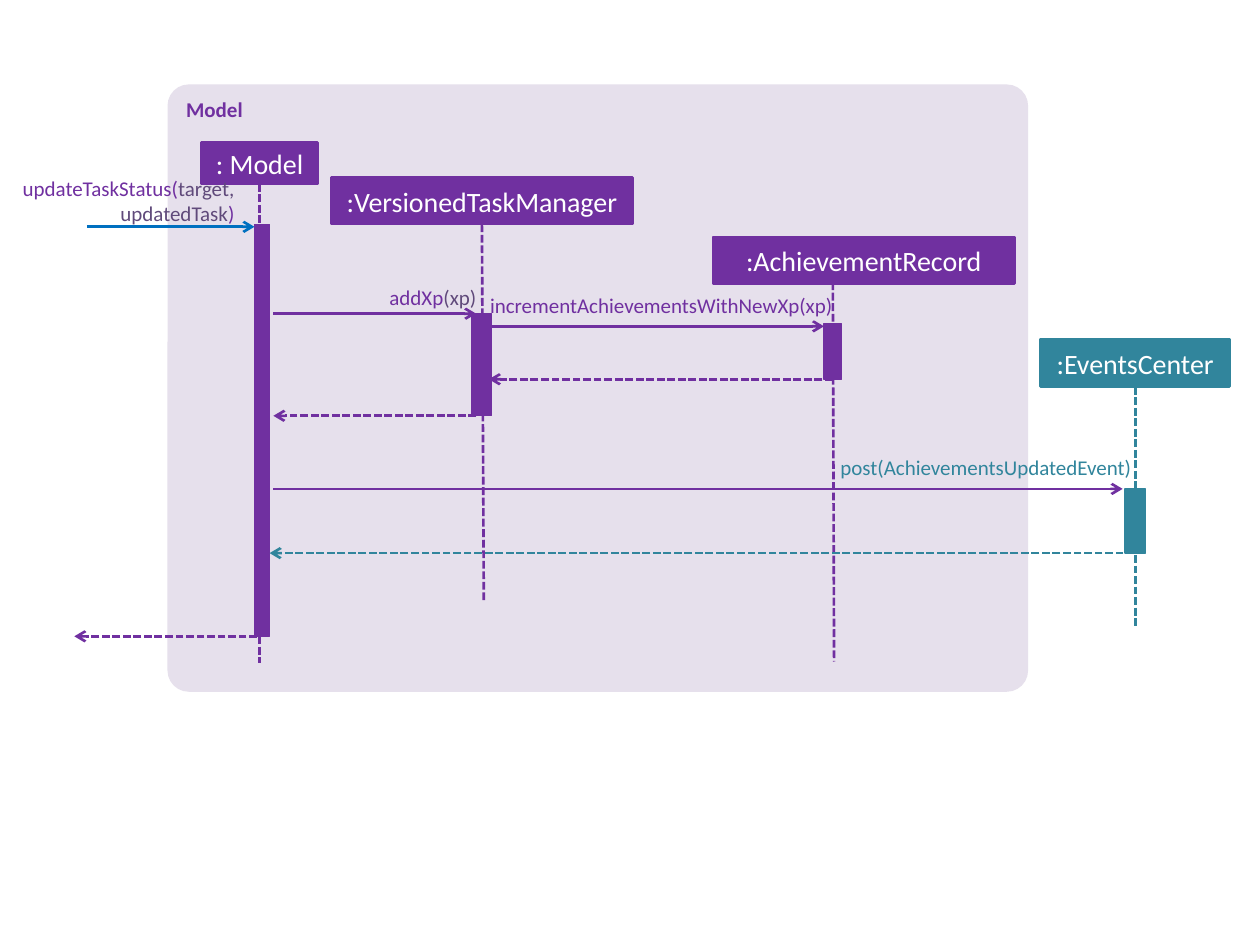
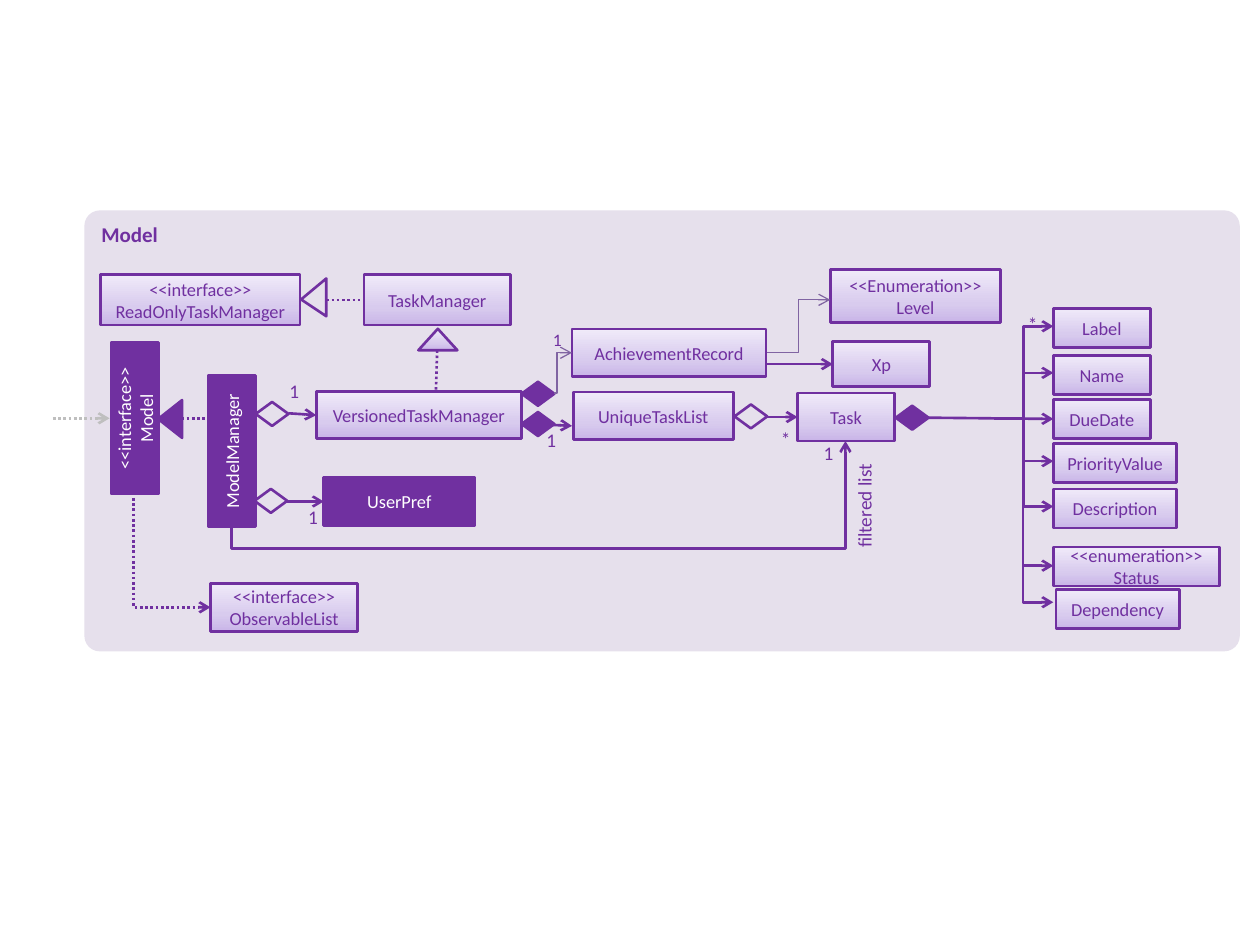
import copy

import pptx
import pptx.util
from lxml import etree
from pptx.dml.color import RGBColor
from pptx.enum.dml import MSO_LINE
from pptx.enum.shapes import MSO_CONNECTOR, MSO_SHAPE
from pptx.enum.text import MSO_ANCHOR, PP_ALIGN
from pptx.oxml.ns import qn
from pptx.util import Inches

COLOURS = {
    "model": "7030A0",
    "panel": "E6E0EC",
    "argument": "604A7B",
    "events": "31859C",
    "caller": "0070C0",
    "outside": "BFBFBF",
    "thin": "8064A2",
    "white": "FFFFFF",
}
CLASS_GRADIENT = [(0, "C9B5E8"), (0.35, "D8CBEE"), (1, "F0EAF9")]
FONT = "Calibri"
DASH = MSO_LINE.SQUARE_DOT
DOT = MSO_LINE.ROUND_DOT
TOP, LEFT, BOTTOM, RIGHT = range(4)


def rgb(name):
    return RGBColor.from_string(COLOURS[name])


# Text
def format_run(run, size, colour, bold=False):
    run.font.name = FONT
    run.font.size = pptx.util.Pt(size)
    run.font.bold = bold
    run.font.color.rgb = rgb(colour)


def write(frame, text, size, colour, align, bold=False):
    frame.word_wrap = True
    frame.text = text
    for paragraph in frame.paragraphs:
        paragraph.alignment = align
        for run in paragraph.runs:
            format_run(run, size, colour, bold)


def label(slide, text, box, size=11, colour="model", align=PP_ALIGN.CENTER, inset=(0, 0)):
    note = slide.shapes.add_textbox(*map(Inches, box))
    frame = note.text_frame
    frame.margin_left = frame.margin_right = Inches(inset[0])
    frame.margin_top = frame.margin_bottom = Inches(inset[1])
    write(frame, text, size, colour, align)
    return note


def add_argument(paragraph, text, colour="argument"):
    run = paragraph.add_run()
    run.text = text
    format_run(run, 12, colour)


# Shapes
def fill_gradient(shape):
    shape.fill.gradient()
    first = shape._element.spPr.find(".//" + qn("a:gs"))
    first.addnext(copy.deepcopy(first))
    for stop, (position, colour) in zip(shape.fill.gradient_stops, CLASS_GRADIENT):
        stop.position = position
        stop.color.rgb = RGBColor.from_string(colour)
    shape.fill.gradient_angle = 90


def outlined(slide, preset, box, fill="model", line="model", width=1.5, rotation=0):
    """Add a shape; fill is a colour name, "gradient" or None."""
    shape = slide.shapes.add_shape(preset, *map(Inches, box))
    shape.shadow.inherit = False
    shape.rotation = rotation
    if fill == "gradient":
        fill_gradient(shape)
    elif fill:
        shape.fill.solid()
        shape.fill.fore_color.rgb = rgb(fill)
    else:
        shape.fill.background()
    if line:
        shape.line.color.rgb = rgb(line)
        shape.line.width = pptx.util.Pt(width)
    else:
        shape.line.fill.background()
    return shape


def panel(slide, box):
    area = outlined(slide, MSO_SHAPE.ROUNDED_RECTANGLE, box, "panel", None)
    area.adjustments[0] = 0.035
    area.text_frame.vertical_anchor = MSO_ANCHOR.TOP
    write(area.text_frame, "Model", 12, "model", PP_ALIGN.LEFT, bold=True)


def named_box(slide, text, box, size, fill, line="model", rotation=0):
    item = outlined(slide, MSO_SHAPE.RECTANGLE, box, fill, line, rotation=rotation)
    item.text_frame.vertical_anchor = MSO_ANCHOR.MIDDLE
    write(item.text_frame, text, size, "model" if fill == "gradient" else "white",
          PP_ALIGN.CENTER)
    return item


def participant(slide, text, box, colour="model"):
    return named_box(slide, text, box, 16, colour, colour)


def activation(slide, box, colour="model"):
    return outlined(slide, MSO_SHAPE.RECTANGLE, box, colour, colour, 0.75)


def class_box(slide, text, box, fill="gradient", rotation=0):
    return named_box(slide, text, box, 10.5, fill, rotation=rotation)


def diamond(slide, left, top, fill=None):
    return outlined(slide, MSO_SHAPE.FLOWCHART_DECISION, (left, top, 0.26, 0.19), fill)


def triangle(slide, box, fill, rotation=0):
    return outlined(slide, MSO_SHAPE.ISOSCELES_TRIANGLE, box, fill, rotation=rotation)


# Connectors
def link(slide, start, end, colour="model", dash=None, arrow=True, width=1.5,
         kind=MSO_CONNECTOR.STRAIGHT):
    connector = slide.shapes.add_connector(kind, *map(Inches, (*start, *end)))
    connector.line.color.rgb = rgb(colour)
    connector.line.width = pptx.util.Pt(width)
    if dash:
        connector.line.dash_style = dash
    properties = connector._element.spPr
    if arrow:
        etree.SubElement(properties.find(qn("a:ln")), qn("a:tailEnd"), type="arrow")
    etree.SubElement(properties, qn("a:effectLst"))
    return connector


def set_bend(connector, bend):
    guides = connector._element.spPr.find(qn("a:prstGeom")).get_or_add_avLst()
    etree.SubElement(guides, qn("a:gd"), name="adj1", fmla=f"val {round(bend * 100000)}")


def elbow(slide, start, end, bend=0.5, **style):
    """Leave sideways, turn at the given share of the width, arrive sideways."""
    connector = link(slide, start, end, kind=MSO_CONNECTOR.ELBOW, **style)
    set_bend(connector, bend)


def upright_elbow(slide, start, end, bend=None, **style):
    """Leave vertically; with no bend there is one corner and a sideways arrival."""
    middle_x, middle_y = (start[0] + end[0]) / 2, (start[1] + end[1]) / 2
    half_w, half_h = (end[0] - start[0]) / 2, (end[1] - start[1]) / 2
    connector = link(slide, (middle_x + half_h, middle_y - half_w),
                     (middle_x - half_h, middle_y + half_w),
                     kind=MSO_CONNECTOR.ELBOW, **style)
    properties = connector._element.spPr
    properties.find(qn("a:xfrm")).set("rot", str(270 * 60000))
    if bend is None:
        properties.find(qn("a:prstGeom")).set("prst", "bentConnector2")
    else:
        set_bend(connector, bend)


def lifeline(slide, start, end, colour="model", head=None):
    line = link(slide, start, end, colour, DASH, arrow=False)
    if head:
        line.begin_connect(head, BOTTOM)


def sequence_slide(slide):
    panel(slide, (1.33, 0.67, 6.83, 4.82))

    # Participants and lifelines
    model = participant(slide, ": Model", (1.6, 1.13, 0.92, 0.33))
    manager = participant(slide, ":VersionedTaskManager", (2.63, 1.41, 2.39, 0.37))
    participant(slide, ":AchievementRecord", (5.66, 1.88, 2.39, 0.37))
    events = participant(slide, ":EventsCenter", (8.26, 2.69, 1.5, 0.38), "events")
    lifeline(slide, (2.06, 1.45), (2.06, 5.26), head=model)
    lifeline(slide, (3.83, 1.78), (3.84, 4.78), head=manager)
    lifeline(slide, (6.61, 2.24), (6.62, 5.25))
    lifeline(slide, (9.01, 3.08), (9.01, 4.97), "events", events)

    # Activations
    for box in [(2.02, 1.78, 0.12, 3.27), (3.74, 2.49, 0.16, 0.81), (6.54, 2.57, 0.14, 0.44)]:
        activation(slide, box)
    activation(slide, (8.93, 3.88, 0.16, 0.51), "events")

    # Calls and returns
    calls = [(0.69, 2.02, 1.8, "caller"), (2.17, 3.78, 2.49, "model"),
             (3.9, 6.54, 2.59, "model"), (2.17, 8.91, 3.88, "model")]
    for begin, end, y, colour in calls:
        link(slide, (begin, y), (end, y), colour)
    returns = [(6.61, 3.88, 3.01, "model"), (3.78, 2.17, 3.3, "model"),
               (9, 2.14, 4.39, "events"), (2.04, 0.59, 5.05, "model")]
    for begin, end, y, colour in returns:
        link(slide, (begin, y), (end, y), colour, DASH)

    # Call names
    update = label(slide, "updateTaskStatus(\n", (-0.89, 1.39, 2.75, 0.4), 12,
                   align=PP_ALIGN.RIGHT)
    first, second = update.text_frame.paragraphs
    add_argument(first, "target,")
    add_argument(second, "updatedTask")
    add_argument(second, ")", "model")
    add_xp = label(slide, "addXp", (2.06, 2.26, 1.72, 0.2), 12, align=PP_ALIGN.RIGHT)
    add_argument(add_xp.text_frame.paragraphs[0], "(xp)")
    label(slide, "incrementAchievementsWithNewXp(xp)", (3.33, 2.32, 3.28, 0.2), 12,
          align=PP_ALIGN.RIGHT)
    label(slide, "post(AchievementsUpdatedEvent)", (6.67, 3.61, 3.19, 0.2), 12, "events",
          PP_ALIGN.LEFT)


def class_slide(slide):
    panel(slide, (0.67, 1.67, 9.17, 3.5))

    # Interfaces and managers
    class_box(slide, "<<interface>>\nModel", (0.47, 3.13, 1.2, 0.38), "model", 270)
    class_box(slide, "ModelManager", (1.24, 3.39, 1.2, 0.38), "model", 270)
    user_pref = class_box(slide, "UserPref", (2.57, 3.79, 1.2, 0.38), "model")
    class_box(slide, "<<interface>>\nReadOnlyTaskManager", (0.8, 2.18, 1.58, 0.4))
    class_box(slide, "<<interface>>\nObservableList", (1.67, 4.63, 1.17, 0.38))
    task_manager = class_box(slide, "TaskManager", (2.89, 2.18, 1.16, 0.4))
    versioned = class_box(slide, "VersionedTaskManager", (2.51, 3.11, 1.63, 0.37))

    # Achievements and tasks
    class_box(slide, "AchievementRecord", (4.54, 2.61, 1.54, 0.38))
    class_box(slide, "<<Enumeration>>\nLevel", (6.59, 2.14, 1.35, 0.42))
    xp = class_box(slide, "Xp", (6.61, 2.71, 0.77, 0.36))
    class_box(slide, "UniqueTaskList", (4.55, 3.11, 1.27, 0.38))
    task = class_box(slide, "Task", (6.33, 3.12, 0.77, 0.38))

    # Inheritance
    triangle(slide, (1.2, 3.23, 0.3, 0.19), "model", 270)
    link(slide, (1.44, 3.32), (1.68, 3.32), dash=DOT, arrow=False)
    read_only_tip = triangle(slide, (2.34, 2.26, 0.3, 0.2), "panel", 270)
    read_only_tip.adjustments[0] = 0.445
    link(slide, (2.59, 2.38), (2.89, 2.38), dash=DOT,
         arrow=False).end_connect(task_manager, LEFT)
    triangle(slide, (3.32, 2.61, 0.31, 0.17), "gradient")
    link(slide, (3.47, 2.78), (3.46, 3.1), dash=DOT, arrow=False)

    # Aggregation and composition
    for left, top in [(2.02, 3.88), (2.03, 3.19), (5.83, 3.21)]:
        diamond(slide, left, top)
    for left, top in [(4.14, 3.27), (4.14, 3.03)]:
        diamond(slide, left, top, "model")
    task_parts = diamond(slide, 7.11, 3.22, "model")
    for start, end, target in [
        ((2.29, 3.28), (2.51, 3.29), versioned),
        ((2.26, 3.98), (2.57, 3.97), user_pref),
        ((6.09, 3.31), (6.33, 3.31), task),
        ((6.09, 2.89), (6.61, 2.89), xp),
    ]:
        link(slide, start, end).end_connect(target, LEFT)
    link(slide, (4.14, 3.36), (4.54, 3.38))
    elbow(slide, (4.4, 3.12), (4.54, 2.8), 0.15, colour="thin", width=0.75)
    elbow(slide, (6.09, 2.8), (6.59, 2.38), colour="thin", width=0.75)

    # Dependencies
    link(slide, (0.42, 3.32), (0.87, 3.32), "outside", DOT)
    upright_elbow(slide, (1.06, 3.91), (1.67, 4.82), dash=DOT)
    upright_elbow(slide, (1.84, 4.17), (6.71, 3.5), -0.27)

    # Parts of a task: name, left, top, width, height of the arrow's end
    for name, left, top, width, arrow_y in [
        ("Label", 8.36, 2.45, 0.77, 2.59),
        ("Name", 8.36, 2.82, 0.77, 2.96),
        ("DueDate", 8.36, 3.17, 0.77, 3.32),
        ("PriorityValue", 8.36, 3.52, 0.98, 3.66),
        ("Description", 8.36, 3.88, 0.98, 4.02),
        ("<<enumeration>>\nStatus", 8.36, 4.34, 1.32, 4.49),
        ("Dependency", 8.38, 4.68, 0.98, 4.78),
    ]:
        part = class_box(slide, name, (left, top, width, 0.31))
        if name == "DueDate":
            trunk = link(slide, (7.37, arrow_y), (left, arrow_y))
            trunk.begin_connect(task_parts, RIGHT)
            trunk.end_connect(part, LEFT)
        elif arrow_y < 4.2:
            elbow(slide, (7.89, 3.32), (8.36, arrow_y))
        else:
            upright_elbow(slide, (8.12, arrow_y - 1.17), (8.36, arrow_y))

    # Multiplicities
    for count, left, top in [("1", 4.27, 3.4), ("*", 6.13, 3.39), ("1", 2.38, 4.01),
                             ("1", 6.47, 3.5), ("*", 8.09, 2.48)]:
        label(slide, count, (left, top, 0.21, 0.2))
    label(slide, "1", (2.24, 3.01, 0.19, 0.15))
    label(slide, "1", (4.29, 2.56, 0.27, 0.27), 10, align=PP_ALIGN.LEFT,
          inset=(0.1, 0.05)).text_frame.word_wrap = False
    label(slide, "filtered list", (6.38, 3.92, 0.96, 0.29), align=PP_ALIGN.RIGHT,
          inset=(0.1, 0.05)).rotation = 270


def main():
    deck = pptx.Presentation()
    deck.slide_width, deck.slide_height = Inches(10), Inches(7.5)
    blank = deck.slide_layouts[6]
    for draw in (sequence_slide, class_slide):
        draw(deck.slides.add_slide(blank))
    deck.save("out.pptx")


if __name__ == "__main__":
    main()
